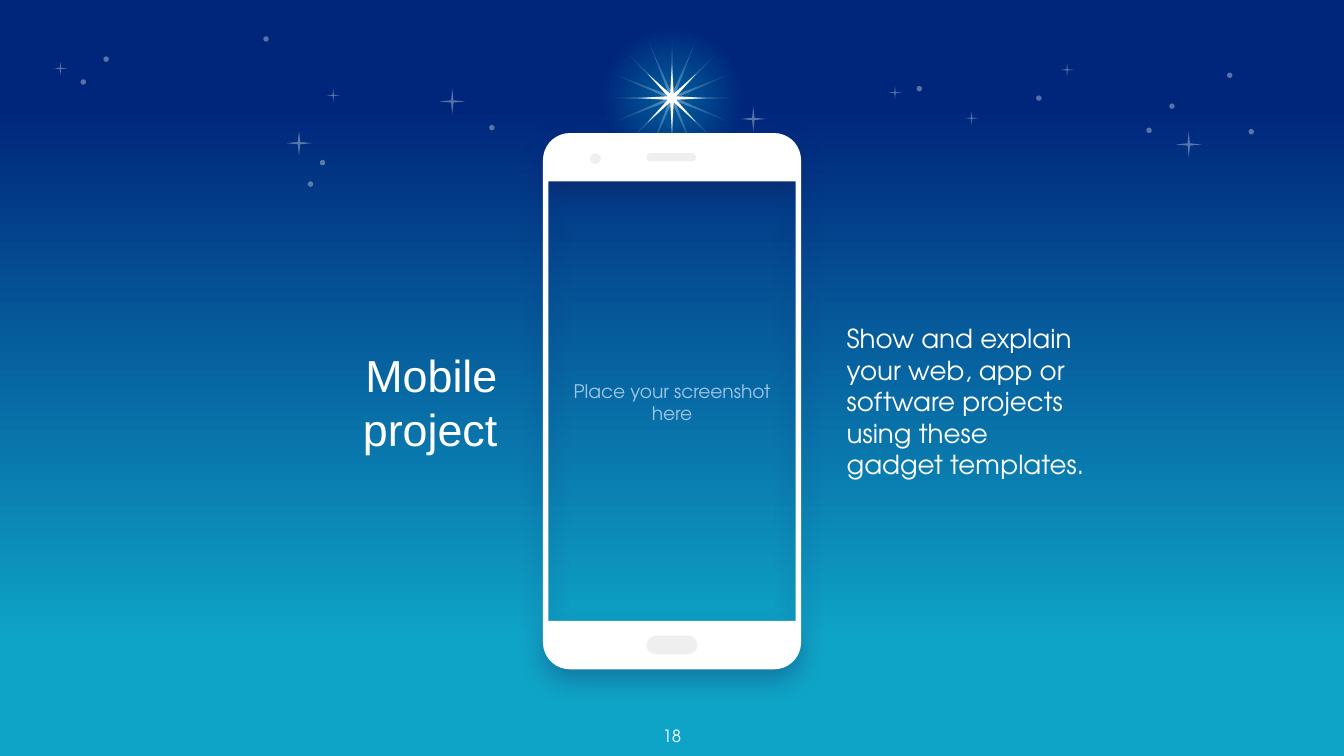
from math import cos, radians, sin

from lxml import etree
from pptx import Presentation
from pptx.dml.color import RGBColor
from pptx.enum.shapes import MSO_SHAPE as SHAPE
from pptx.enum.text import MSO_ANCHOR as ANCHOR, PP_ALIGN as ALIGN
from pptx.oxml.ns import qn
from pptx.util import Inches, Pt

# Content: text, box, size, font, colour, alignment, anchor, inset, space before
SANS, ROUND = "Arial", "TeX Gyre Adventor"
TEXTS = [
    ("Mobile\vproject", (1.95, 0.99, 1.75, 3.99), 24, SANS, "FFFFFF",
     ALIGN.RIGHT, ANCHOR.MIDDLE, 0, 6),
    ("Show and explain your web, app or software projects using these gadget templates.",
     (6.3, 0.99, 1.82, 3.99), 14, ROUND, "FFFFFF", ALIGN.LEFT, ANCHOR.MIDDLE, 0, 6),
    ("18", (4.7, 5.3, 0.6, 0.29), 9, ROUND, "FFFFFF", ALIGN.CENTER, ANCHOR.TOP, 0.1, 0),
    ("Place your screenshot here", (4.09, 1.36, 1.82, 3.26), 10, ROUND, "9FC5E8",
     ALIGN.CENTER, ANCHOR.MIDDLE, 0.1, 0),
]

# Sky: gradient stops are (position, colour, opacity), all in percent
SKY = [(0, "00267B", 100), (14, "00267B", 100), (85, "0EA4C7", 100), (100, "0EA4C7", 100)]
GLOW = [(0, "00FFFF", 27), (68, "00FFFF", 0), (100, "00FFFF", 0)]
RAYS = [(0, "FFFFFF", 35), (69, "FFFFFF", 0), (100, "FFFFFF", 0)]
BIG_STARS = [(8.75, 0.98), (5.51, 0.79), (2.13, 0.97), (3.27, 0.66)]
DOTS = [(9.29, 0.96), (5.75, 1.08), (8.53, 0.95), (8.7, 0.77), (9.13, 0.54),
        (7.71, 0.71), (6.82, 0.64), (2.38, 1.19), (2.29, 1.35), (3.64, 0.93),
        (1.96, 0.27), (0.77, 0.42), (0.6, 0.59)]
SMALL_STARS = [(0.4, 0.46), (7.89, 0.47), (6.61, 0.64), (7.18, 0.83), (2.43, 0.66)]
SPARKLES = [(SHAPE.STAR_4_POINT, 0.19, BIG_STARS), (SHAPE.OVAL, 0.04, DOTS),
            (SHAPE.STAR_4_POINT, 0.1, SMALL_STARS)]

# Phone
BODY, CORNER = (4.04, 0.99, 1.92, 3.99), 0.2
SCREEN = (4.08, 1.35, 1.84, 3.27)
UNITS = 1000  # drawing units per inch
PARTS = [
    (SHAPE.ROUNDED_RECTANGLE, (4.81, 4.73, 0.38, 0.14), 0.5),  # home button
    (SHAPE.OVAL, (4.39, 1.14, 0.08, 0.08), None),  # camera
    (SHAPE.ROUNDED_RECTANGLE, (4.81, 1.14, 0.37, 0.06), 0.5),  # speaker
]


def rgb(value):
    return RGBColor.from_string(value)


def add_color(parent, color, opacity):
    node = etree.SubElement(parent, qn("a:srgbClr"), val=color)
    if opacity < 100:
        etree.SubElement(node, qn("a:alpha"), val=str(opacity * 1000))


def set_gradient(owner, stops, radial=False):
    """Swap the solid fill of an element for a gradient."""
    gradient = etree.Element(qn("a:gradFill"), rotWithShape="1")
    stop_list = etree.SubElement(gradient, qn("a:gsLst"))
    for position, color, opacity in stops:
        stop = etree.SubElement(stop_list, qn("a:gs"), pos=str(position * 1000))
        add_color(stop, color, opacity)
    if radial:
        circle = etree.SubElement(gradient, qn("a:path"), path="circle")
        etree.SubElement(circle, qn("a:fillToRect"),
                         {side: "50000" for side in "ltrb"})
    else:
        etree.SubElement(gradient, qn("a:lin"), ang="5400000", scaled="0")
    owner.replace(owner.find(qn("a:solidFill")), gradient)


def paint(shape, color, opacity=100):
    shape.shadow.inherit = False
    shape.line.fill.background()
    shape.fill.solid()
    shape.fill.fore_color.rgb = rgb(color)
    if opacity < 100:
        solid = shape.element.spPr.find(qn("a:solidFill"))
        solid.clear()
        add_color(solid, color, opacity)


def add_preset(page, kind, box, color, opacity=100, adjust=None):
    shape = page.shapes.add_shape(kind, *map(Inches, box))
    paint(shape, color, opacity)
    if adjust is not None:
        shape.adjustments[0] = adjust
    return shape


def add_text(page, text, box, size, font, color, align, anchor, inset, before):
    frame = page.shapes.add_textbox(*map(Inches, box)).text_frame
    frame.word_wrap = True
    frame.vertical_anchor = anchor
    frame.margin_left = frame.margin_right = frame.margin_top = Inches(inset)
    # A top-anchored line needs the room below it
    frame.margin_bottom = 0 if anchor == ANCHOR.TOP else Inches(inset)
    frame.text = text
    para = frame.paragraphs[0]
    para.alignment, para.space_before = align, Pt(before)
    for span in para.runs:
        span.font.size, span.font.name = Pt(size), font
        span.font.color.rgb = rgb(color)


def rounded_outline(left, top, width, height, radius):
    right, bottom = left + width - radius, top + height - radius
    left, top = left + radius, top + radius
    corners = [(right, top, 270), (right, bottom, 0), (left, bottom, 90), (left, top, 180)]
    return [(x + radius * cos(radians(start + turn)), y + radius * sin(radians(start + turn)))
            for x, y, start in corners for turn in range(0, 91, 10)]


def to_units(points):
    return [(round(x * UNITS), round(y * UNITS)) for x, y in points]


def add_phone(page):
    left, top, width, height = SCREEN
    right, bottom = left + width, top + height
    outline = to_units(rounded_outline(*BODY, CORNER))
    screen = to_units([(left, top), (left, bottom), (right, bottom), (right, top)])
    builder = page.shapes.build_freeform(*outline[0], scale=Inches(1) / UNITS)
    builder.add_line_segments(outline[1:], close=True)
    builder.move_to(*screen[0])
    builder.add_line_segments(screen[1:], close=True)
    phone = builder.convert_to_shape()
    paint(phone, "FFFFFF")
    shadow = etree.SubElement(
        phone.element.spPr.find(qn("a:effectLst")), qn("a:outerShdw"),
        blurRad=str(Pt(13.5)), dist=str(Pt(5.2)), dir="5400000", algn="bl", rotWithShape="0")
    add_color(shadow, "20124D", 29)
    for kind, box, adjust in PARTS:
        add_preset(page, kind, box, "EFEFEF", adjust=adjust)


def main():
    deck = Presentation()
    deck.slide_width = Inches(10)
    deck.slide_height = deck.slide_width * 9 // 16
    page = deck.slides.add_slide(deck.slide_layouts[6])

    # Night sky
    page.background.fill.solid()
    set_gradient(page.element.find(".//" + qn("p:bgPr")), SKY)
    for kind, size, places in SPARKLES:
        adjust = 0.065 if kind == SHAPE.STAR_4_POINT else None
        for x, y in places:
            add_preset(page, kind, (x, y, size, size), "FFFFFF", 35, adjust)

    # Bright star above the phone
    halo = (4.46, 0.19, 1.08, 1.08)
    for kind, stops, adjust in [(SHAPE.OVAL, GLOW, None), (SHAPE.STAR_16_POINT, RAYS, 0.055)]:
        shape = add_preset(page, kind, halo, "FFFFFF", adjust=adjust)
        set_gradient(shape.element.spPr, stops, radial=True)
    add_preset(page, SHAPE.STAR_8_POINT, (4.75, 0.48, 0.5, 0.5), "FFFFFF", adjust=0.067)

    # Texts, then the phone in front
    for item in TEXTS:
        add_text(page, *item)
    add_phone(page)
    deck.save("out.pptx")


if __name__ == "__main__":
    main()
